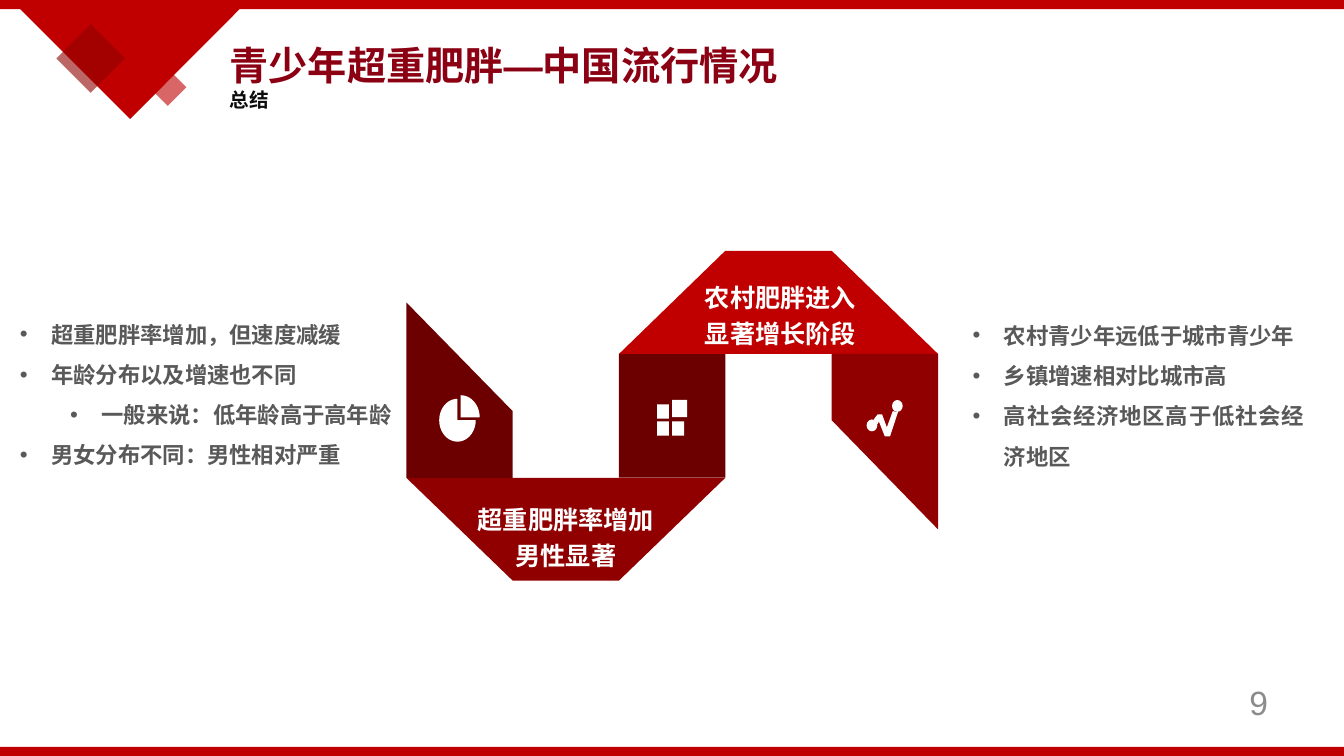
"""Build a slide summarising overweight and obesity trends among adolescents in China."""
from math import cos, radians, sin

from lxml import etree
from pptx import Presentation
from pptx.dml.color import RGBColor
from pptx.enum.shapes import MSO_SHAPE
from pptx.enum.text import MSO_ANCHOR, MSO_AUTO_SIZE, PP_ALIGN
from pptx.oxml.ns import qn
from pptx.util import Cm, Pt

RED = RGBColor(0xC0, 0x00, 0x00)
CRIMSON = RGBColor(0x90, 0x00, 0x00)
MAROON = RGBColor(0x6C, 0x00, 0x00)
TITLE = RGBColor(0x8B, 0x00, 0x12)
INK = RGBColor(0x0D, 0x0D, 0x0D)
GREY = RGBColor(0x59, 0x59, 0x59)
PALE = RGBColor(0x8C, 0x8C, 0x8C)
WHITE = RGBColor(0xFF, 0xFF, 0xFF)

prs = Presentation()
prs.slide_width, prs.slide_height = Cm(33.87), Cm(19.05)
s = prs.slides.add_slide(prs.slide_layouts[6])


def add_filled(outline, color, box=None):
    """Draw a preset shape in a box, or a polygon from a list of points."""
    if box:
        sp = s.shapes.add_shape(outline, *[Cm(v) for v in box])
    else:
        pts = [(Cm(x), Cm(y)) for x, y in outline]
        fb = s.shapes.build_freeform(*pts[0])
        fb.add_line_segments(pts[1:], close=True)
        sp = fb.convert_to_shape()
    sp.shadow.inherit = False
    sp.fill.solid()
    sp.fill.fore_color.rgb = color
    sp.line.fill.background()
    return sp


def add_text(box, lines, size, color, spacing=1.0, align=PP_ALIGN.LEFT,
             font="Arial", bold=True, bullets=False):
    """Add a text box; each line is a (text, level) pair."""
    tf = s.shapes.add_textbox(*[Cm(v) for v in box]).text_frame
    tf.word_wrap = True
    tf.auto_size = MSO_AUTO_SIZE.SHAPE_TO_FIT_TEXT
    for i, (text, level) in enumerate(lines):
        p = tf.add_paragraph() if i else tf.paragraphs[0]
        p.text = text
        p.level = level
        p.alignment = align
        p.line_spacing = spacing
        if bullets:
            pPr = p._p.get_or_add_pPr()
            pPr.set("marL", str(Cm(0.79 + 1.27 * level)))
            pPr.set("indent", str(Cm(-0.79)))
            etree.SubElement(pPr, qn("a:buFont")).set("typeface", "Arial")
            etree.SubElement(pPr, qn("a:buChar")).set("char", "•")
        r = p.runs[0]
        r.font.size = Pt(size)
        r.font.bold = bold
        r.font.color.rgb = color
        r.font.name = font
        etree.SubElement(r._r.get_or_add_rPr(), qn("a:ea")).set("typeface", font)
    return tf


small_diamond = add_filled(MSO_SHAPE.DIAMOND, RED, (3.76, 1.73, 0.94, 0.94))
add_filled(MSO_SHAPE.RECTANGLE, RED, (0, 0, 33.87, 0.23))
add_filled([(0.71, 0), (5.89, 0), (6.07, 0.2), (3.28, 3), (0.48, 0.2)], RED)
large_diamond = add_filled(MSO_SHAPE.DIAMOND, CRIMSON, (1.42, 0.61, 1.73, 1.73))
add_filled(MSO_SHAPE.RECTANGLE, RED, (0, 18.82, 33.87, 0.23))
for diamond in (small_diamond, large_diamond):
    clr = diamond.fill._xPr.find(".//" + qn("a:srgbClr"))
    etree.SubElement(clr, qn("a:alpha")).set("val", "60000")

add_text((5.54, 0.74, 17.2, 1.52), [("青少年超重肥胖—中国流行情况", 0)], 28, TITLE, 1.14)
add_text((5.54, 2.01, 22.38, 0.89), [("总结", 0)], 14, INK, 1.14, font="Noto Sans CJK SC")

add_text((24.26, 7.65, 8.86, 4.24),
         [("农村青少年远低于城市青少年", 0), ("乡镇增速相对比城市高", 0),
          ("高社会经济地区高于低社会经济地区", 0)],
         16, GREY, 1.5, PP_ALIGN.JUSTIFY, bullets=True)
add_text((0.25, 7.62, 11.15, 6.27),
         [("超重肥胖率增加，但速度减缓", 0), ("年龄分布以及增速也不同", 0),
          ("一般来说：低年龄高于高年龄", 1), ("男女分布不同：男性相对严重", 0)],
         16, GREY, 1.5, bullets=True)

STEP = 2.68
c = [10.24 + STEP * k for k in range(6)]
TOP, UPPER, LOWER, BOTTOM = 6.32, 8.92, 12.04, 14.63
add_filled(MSO_SHAPE.RECTANGLE, MAROON, (c[2], UPPER, STEP, LOWER - UPPER))
ribbon = [
    ([(c[2], UPPER), (c[3], TOP), (c[4], TOP), (c[5], UPPER)], RED),
    ([(c[4], UPPER), (c[5], UPPER), (c[5], 13.34), (c[4], 10.59)], CRIMSON),
    ([(c[0], LOWER), (c[3], LOWER), (c[2], BOTTOM), (c[1], BOTTOM)], CRIMSON),
    ([(c[0], 7.62), (c[1], 10.36), (c[1], LOWER), (c[0], LOWER)], MAROON),
]
for points, color in ribbon:
    add_filled(points, color)

for x, y, rx, ry, start, end in [(11.53, 10.59, 0.46, 0.54, 0, 270),
                                 (11.61, 10.52, 0.48, 0.56, 270, 360)]:
    arc = [(x + rx * cos(radians(a)), y + ry * sin(radians(a)))
           for a in range(start, end + 1, 5)]
    add_filled([(x, y)] + arc, WHITE)

for box in [(16.56, 10.19, 0.3, 0.36), (16.94, 10.08, 0.38, 0.43),
            (16.56, 10.62, 0.3, 0.36), (16.94, 10.62, 0.3, 0.36)]:
    add_filled(MSO_SHAPE.RECTANGLE, WHITE, box)

add_filled([(22.5, 10.36), (22.35, 10.77), (22.23, 10.44), (22.12, 10.44), (22.02, 10.57),
            (22.12, 10.69), (22.15, 10.62), (22.3, 11), (22.43, 11), (22.63, 10.39)], WHITE)
for x, y in [(22.48, 10.08), (21.84, 10.57)]:
    add_filled(MSO_SHAPE.OVAL, WHITE, (x, y, 0.27, 0.3))

for x, y, lines in [(16.56, 6.83, ("农村肥胖进入", "显著增长阶段")),
                    (11.15, 12.42, ("超重肥胖率增加", "男性显著"))]:
    add_text((x, y, 6.22, 2.01), [(line, 0) for line in lines], 18, WHITE, 1.2, PP_ALIGN.CENTER)

page = add_text((24.59, 17.17, 7.62, 1.02), [("9", 0)], 24, PALE,
                align=PP_ALIGN.RIGHT, bold=False)
page.auto_size = MSO_AUTO_SIZE.NONE
page.vertical_anchor = MSO_ANCHOR.MIDDLE

prs.save("out.pptx")
